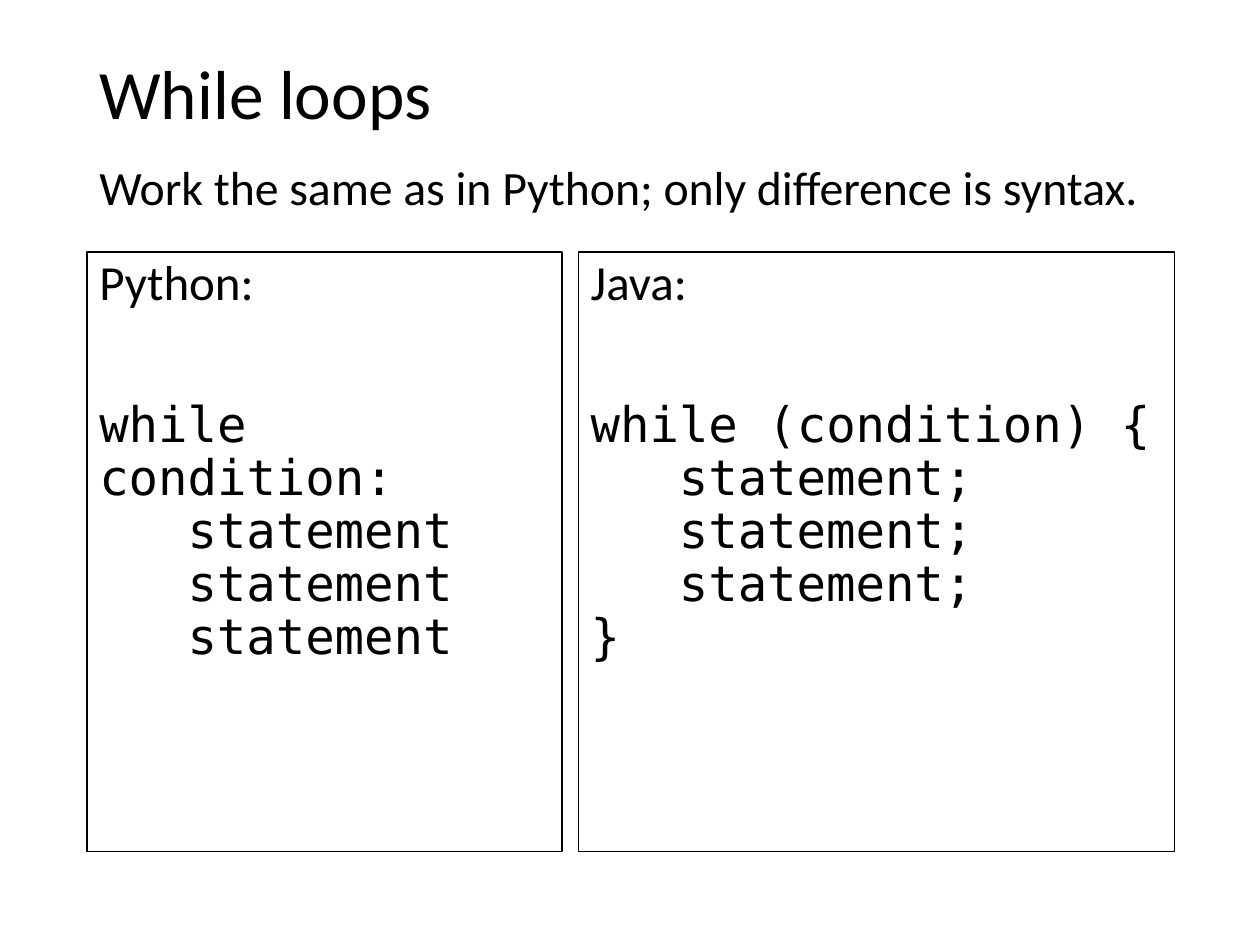
from dataclasses import dataclass
from pptx import Presentation
from pptx.dml.color import RGBColor
from pptx.enum.text import MSO_ANCHOR as Anchor
from pptx.util import Inches, Pt


@dataclass(frozen=True)
class Theme:
    """Colours, fonts and type sizes of the slide."""
    ink: RGBColor = RGBColor(0, 0, 0)
    prose: str = "Calibri"
    code: str = "DejaVu Sans Mono"
    title: float = 39.6
    lead: float = 27.3
    body: float = 28
    line: float = 0.75
    leading: float = 0.9


theme = Theme()
deck = Presentation()
deck.slide_width, deck.slide_height = Inches(10), Inches(7.5)
page = deck.slides.add_slide(deck.slide_layouts[6])

margin, full_width = 0.69, 8.62
title_top, row_height = 0.4, 0.74
panel_top, panel_height = 2, 4.76
code_indent = Inches(0.7)


def add_box(left, top, width, height, anchor=Anchor.TOP):
    """Add a wrapping text box, measured in inches."""
    box = page.shapes.add_textbox(*map(Inches, (left, top, width, height)))
    box.text_frame.word_wrap = True
    box.text_frame.vertical_anchor = anchor
    return box


def write(box, text, size=theme.body, font=theme.prose, before=0, indent=0):
    """Write one paragraph into a box, filling its empty first one."""
    para = box.text_frame.paragraphs[0]
    if para.runs:
        para = box.text_frame.add_paragraph()
    para.line_spacing = theme.leading
    para.space_before = Pt(before)
    if indent:
        para._p.get_or_add_pPr().set("marL", str(indent))
    span = para.add_run()
    span.text = text
    span.font.size, span.font.name = Pt(size), font
    span.font.color.rgb = theme.ink


headings = [
    ("While loops", theme.title),
    ("Work the same as in Python; only difference is syntax.", theme.lead),
]
for row, (text, size) in enumerate(headings):
    box = add_box(margin, title_top + row * row_height, full_width, row_height,
                  Anchor.MIDDLE)
    write(box, text, size=size)

# Each panel: left, width, language, then code lines as (indent level, text)
panels = [
    (margin, 3.77, "Python:",
     [(0, "while condition:")] + [(1, "statement")] * 3),
    (4.59, 4.73, "Java:",
     [(0, "while (condition) {")] + [(1, "statement;")] * 3 + [(0, "}")]),
]
for left, width, language, code in panels:
    panel = add_box(left, panel_top, width, panel_height)
    panel.line.color.rgb = theme.ink
    panel.line.width = Pt(theme.line)
    write(panel, language, before=10)
    for number, (level, text) in enumerate(code):
        write(panel, text, font=theme.code, before=0 if number else 51,
              indent=level * code_indent)

deck.save("out.pptx")
